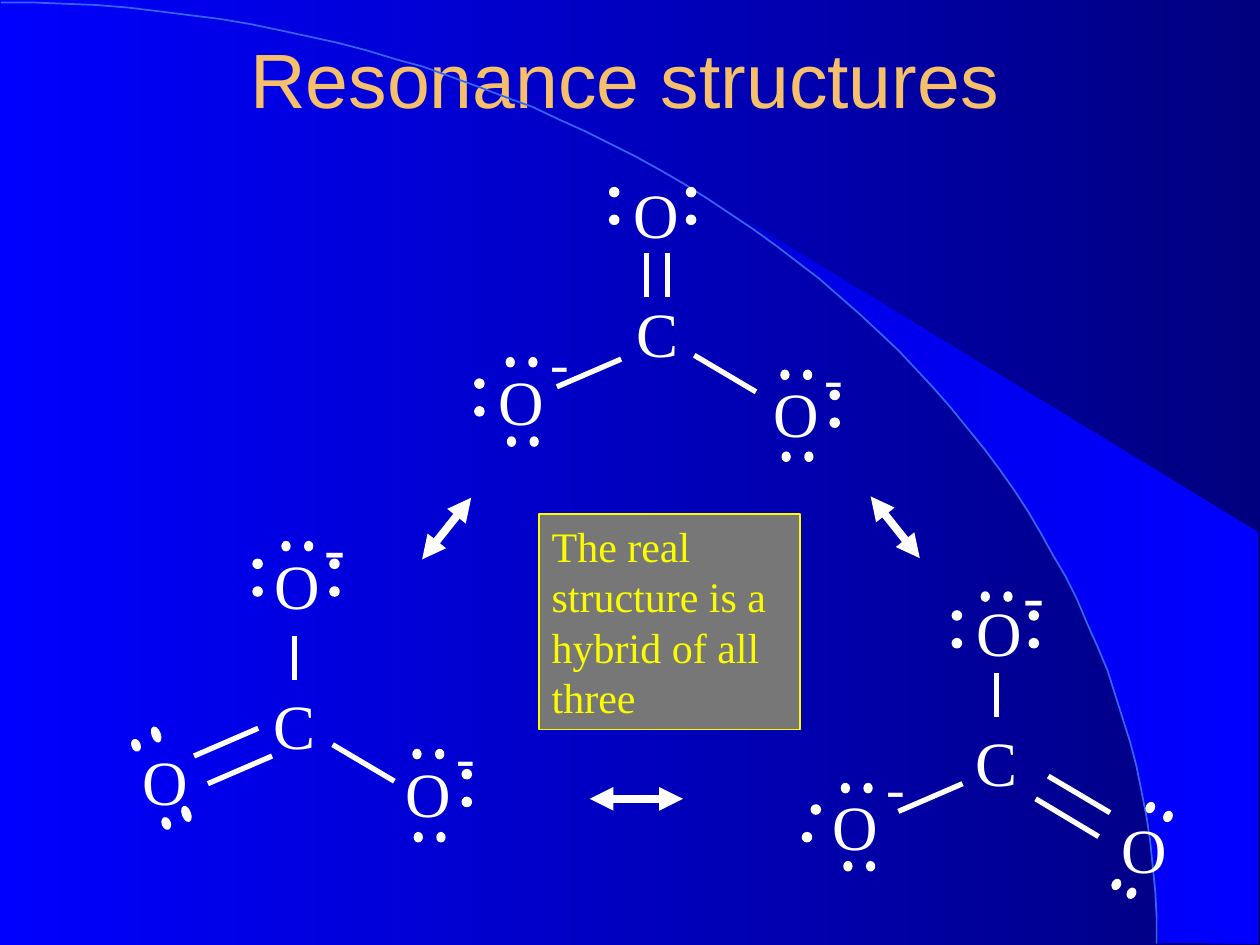
from dataclasses import dataclass

from lxml.etree import SubElement
from pptx import Presentation
from pptx.dml.color import RGBColor
from pptx.enum.shapes import MSO_CONNECTOR, MSO_SHAPE
from pptx.enum.text import MSO_ANCHOR, PP_ALIGN
from pptx.oxml.ns import qn
from pptx.util import Inches, Pt


@dataclass(frozen=True)
class Theme:
    white: str = "FFFFFF"
    title: str = "F6BF69"
    accent: str = "FAFD00"
    panel: str = "777777"
    arc: str = "3365FB"
    background: tuple = ("0000FF", "00007F")
    wedge: tuple = ("0000E5", "0000FF")
    title_font: str = "Arial"
    body_font: str = "Times New Roman"
    title_size: int = 44
    atom_size: int = 36
    charge_size: int = 32
    note_size: int = 24


class SlideBuilder:
    def __init__(self, slide, theme):
        self.slide, self.shapes, self.theme = slide, slide.shapes, theme

    def gradient(self, fill, colors):
        fill.gradient()
        fill.gradient_angle = 0
        for stop, color in zip(fill.gradient_stops, colors):
            stop.color.rgb = RGBColor.from_string(color)

    def paint(self, shape, fill, line):
        shape.shadow.inherit = False
        shape.fill.solid()
        shape.fill.fore_color.rgb = RGBColor.from_string(fill)
        self.stroke(shape, line, 1)

    def stroke(self, shape, color, width):
        shape.line.color.rgb = RGBColor.from_string(color)
        shape.line.width = Pt(width)

    def add_text(self, shape, text, size, color, font, align, anchor=MSO_ANCHOR.TOP):
        frame = shape.text_frame
        frame.word_wrap = True
        frame.vertical_anchor = anchor
        paragraph = frame.paragraphs[0]
        paragraph.alignment = align
        run = paragraph.add_run()
        run.text = text
        run.font.size = Pt(size)
        run.font.name = font
        run.font.color.rgb = RGBColor.from_string(color)

    def title(self, text):
        title = self.shapes.title
        title.left, title.top = Inches(0.71), Inches(-0.01)
        title.width, title.height = Inches(8.5), Inches(1.25)
        self.add_text(title, text, self.theme.title_size, self.theme.title,
                      self.theme.title_font, PP_ALIGN.CENTER, MSO_ANCHOR.MIDDLE)

    def outline(self, points, close):
        # Points are scaled to hundredths of an inch
        (x, y), *rest = [(px * 100, py * 100) for px, py in points]
        builder = self.shapes.build_freeform(x, y, scale=Inches(0.01))
        builder.add_line_segments(rest, close=close)
        shape = builder.convert_to_shape()
        shape.shadow.inherit = False
        return shape

    def wedge(self, points):
        shape = self.outline(points, True)
        self.gradient(shape.fill, self.theme.wedge)
        shape.line.fill.background()

    def arc(self, p0, p1, p2, p3, steps=60):
        points = []
        for step in range(steps + 1):
            t = step / steps
            weights = ((1 - t) ** 3, 3 * t * (1 - t) ** 2, 3 * t * t * (1 - t), t ** 3)
            points.append([sum(w * p[axis] for w, p in zip(weights, (p0, p1, p2, p3)))
                           for axis in (0, 1)])
        shape = self.outline(points, False)
        shape.fill.background()
        self.stroke(shape, self.theme.arc, 1)

    def label(self, text, x, y, width, height, size):
        box = self.shapes.add_textbox(Inches(x), Inches(y), Inches(width), Inches(height))
        self.add_text(box, text, size, self.theme.white, self.theme.body_font, PP_ALIGN.CENTER)

    def atom(self, symbol, x, y):
        self.label(symbol, x, y, 1.24, 0.7, self.theme.atom_size)

    def charge(self, x, y, size):
        self.label("-", x, y, 0.62, 0.7, size)

    def line(self, x1, y1, x2, y2, width=3):
        line = self.shapes.add_connector(MSO_CONNECTOR.STRAIGHT, Inches(x1), Inches(y1),
                                         Inches(x2), Inches(y2))
        self.stroke(line, self.theme.white, width)
        SubElement(line._element.spPr, qn("a:effectLst"))
        return line

    def resonance_arrow(self, *ends):
        arrow = self.line(*ends, width=4.5)
        for end in ("a:headEnd", "a:tailEnd"):
            SubElement(arrow.line._get_or_add_ln(), qn(end), type="triangle")

    def electron(self, x, y, width, height, angle=0):
        dot = self.shapes.add_shape(MSO_SHAPE.OVAL, Inches(x), Inches(y),
                                    Inches(width), Inches(height))
        dot.rotation = angle
        self.paint(dot, self.theme.white, self.theme.white)

    def pair_across(self, x, y):
        for dx in (0, 0.18):
            self.electron(x + dx, y, 0.06, 0.07)

    def pair_down(self, x, y, lean=0):
        for dx, dy in ((0, 0), (lean, 0.22)):
            self.electron(x + dx, y + dy, 0.07, 0.07)

    def molecule(self, atoms, bonds, charges, across, down, tilted=()):
        for draw, items in ((self.atom, atoms), (self.line, bonds),
                            (self.charge, charges), (self.pair_across, across),
                            (self.pair_down, down), (self.electron, tilted)):
            for item in items:
                draw(*item)

    def note(self, text, x, y, width, height):
        panel = self.shapes.add_shape(MSO_SHAPE.RECTANGLE, Inches(x), Inches(y),
                                      Inches(width), Inches(height))
        self.paint(panel, self.theme.panel, self.theme.accent)
        self.add_text(panel, text, self.theme.note_size, self.theme.accent,
                      self.theme.body_font, PP_ALIGN.LEFT)


def main():
    theme = Theme()
    deck = Presentation()
    deck.slide_width, deck.slide_height = Inches(10), Inches(7.5)
    page = SlideBuilder(deck.slides.add_slide(deck.slide_layouts[5]), theme)

    # Backdrop
    page.gradient(page.slide.background.fill, theme.background)
    page.wedge([(9.2, 7.48), (9.99, 7.49), (9.99, 4.23), (5.89, 1.73), (6.24, 1.99),
                (6.53, 2.22), (6.85, 2.5), (7.16, 2.8), (7.62, 3.3), (8.03, 3.84),
                (8.32, 4.31), (8.58, 4.79), (8.78, 5.28), (8.93, 5.72), (9.03, 6.09),
                (9.13, 6.56), (9.17, 6.96)])
    page.arc((0.01, 0.02), (5.08, 0.02), (9.18, 3.37), (9.18, 7.49))

    page.title("Resonance structures")

    # Top structure: double bond to the upper oxygen
    page.molecule(
        atoms=[("C", 4.6, 2.29), ("O", 4.59, 1.34), ("O", 3.52, 2.83), ("O", 5.7, 2.92)],
        bonds=[(5.13, 2.36, 5.13, 2.01), (5.3, 2.36, 5.3, 2.01),
               (4.42, 3.07, 4.93, 2.85), (5.51, 2.82, 6, 3.11)],
        charges=[(4.13, 2.55, theme.charge_size), (6.31, 2.67, theme.charge_size)],
        across=[(4.02, 2.84), (4.03, 3.47), (6.2, 2.94), (6.21, 3.59)],
        down=[(4.84, 1.49), (5.45, 1.49), (3.77, 3.01), (6.59, 3.1)])

    # Left structure: double bond to the lower left oxygen
    page.molecule(
        atoms=[("C", 1.72, 5.4), ("O", 1.74, 4.29), ("O", 0.69, 5.84), ("O", 2.78, 5.94)],
        bonds=[(2.34, 5.4, 2.34, 5.05), (1.54, 6, 2.05, 5.78),
               (1.65, 6.22, 2.16, 6), (2.64, 5.91, 3.13, 6.2)],
        charges=[(2.35, 3.98, theme.atom_size), (3.39, 5.68, theme.charge_size)],
        across=[(2.24, 4.3), (3.28, 5.95), (3.29, 6.61)],
        down=[(2.01, 4.44), (2.62, 4.44), (3.67, 6.11)],
        tilted=[(1.05, 5.87, 0.06, 0.09, 339.7), (1.21, 5.77, 0.06, 0.12, 339.7),
                (1.29, 6.49, 0.06, 0.09, 339.7), (1.45, 6.4, 0.06, 0.12, 339.7)])

    # Right structure: double bond to the lower right oxygen
    page.molecule(
        atoms=[("C", 7.29, 5.69), ("O", 7.31, 4.66), ("O", 6.17, 6.2), ("O", 8.46, 6.38)],
        bonds=[(7.91, 5.69, 7.91, 5.34), (7.13, 6.44, 7.64, 6.22),
               (8.32, 6.16, 8.81, 6.45), (8.22, 6.34, 8.72, 6.64)],
        charges=[(7.9, 4.36, theme.atom_size), (6.8, 5.92, theme.charge_size)],
        across=[(7.79, 4.7), (6.68, 6.22), (6.7, 6.84)],
        down=[(7.56, 4.85), (8.17, 4.85), (6.44, 6.39, -0.07)],
        tilted=[(9.24, 6.44, 0.06, 0.08, 24.7), (9.1, 6.37, 0.06, 0.08, 24.7),
                (8.95, 7.05, 0.06, 0.08, 27.6), (8.83, 6.98, 0.06, 0.08, 27.6)])

    # Resonance arrows and closing note
    for ends in ((3.35, 4.44, 3.74, 3.95), (7.3, 4.43, 6.91, 3.94), (5.42, 6.34, 4.68, 6.34)):
        page.resonance_arrow(*ends)
    page.note("The real structure is a hybrid of all three", 4.28, 4.08, 2.07, 1.71)

    deck.save("out.pptx")


if __name__ == "__main__":
    main()
